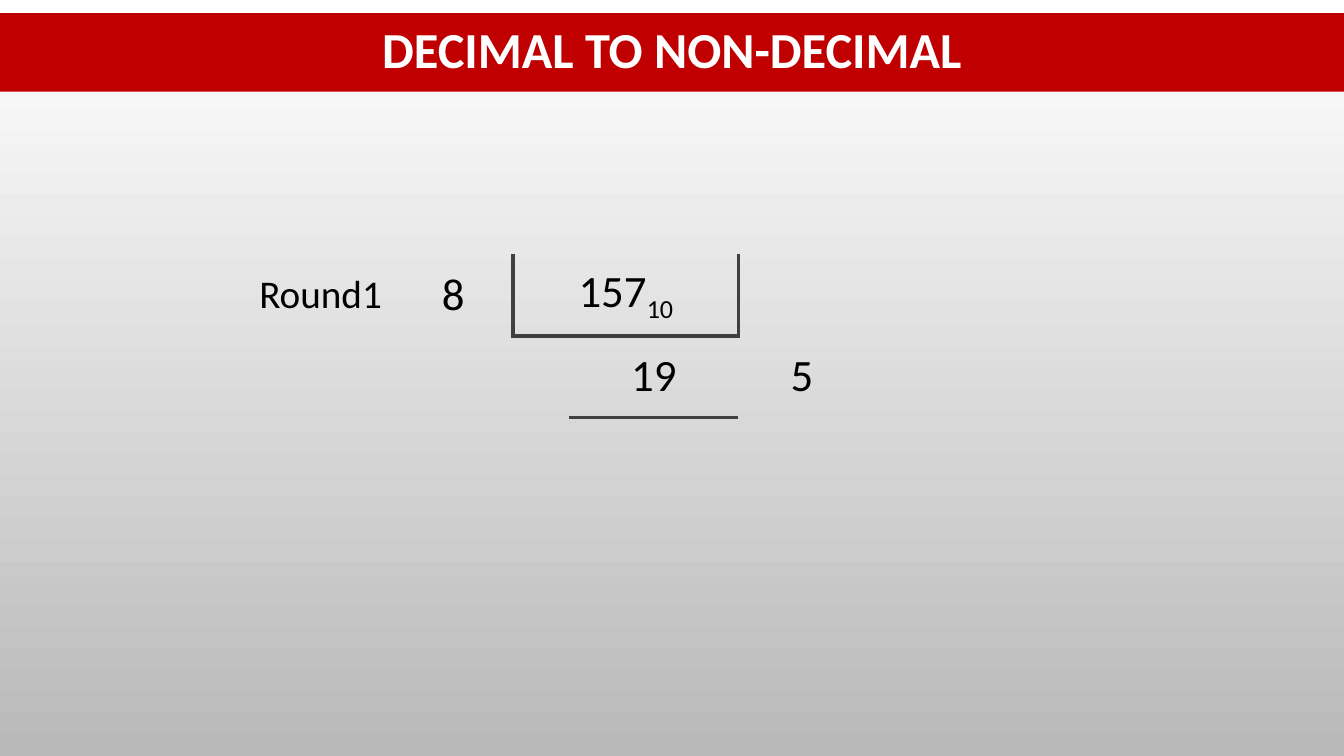
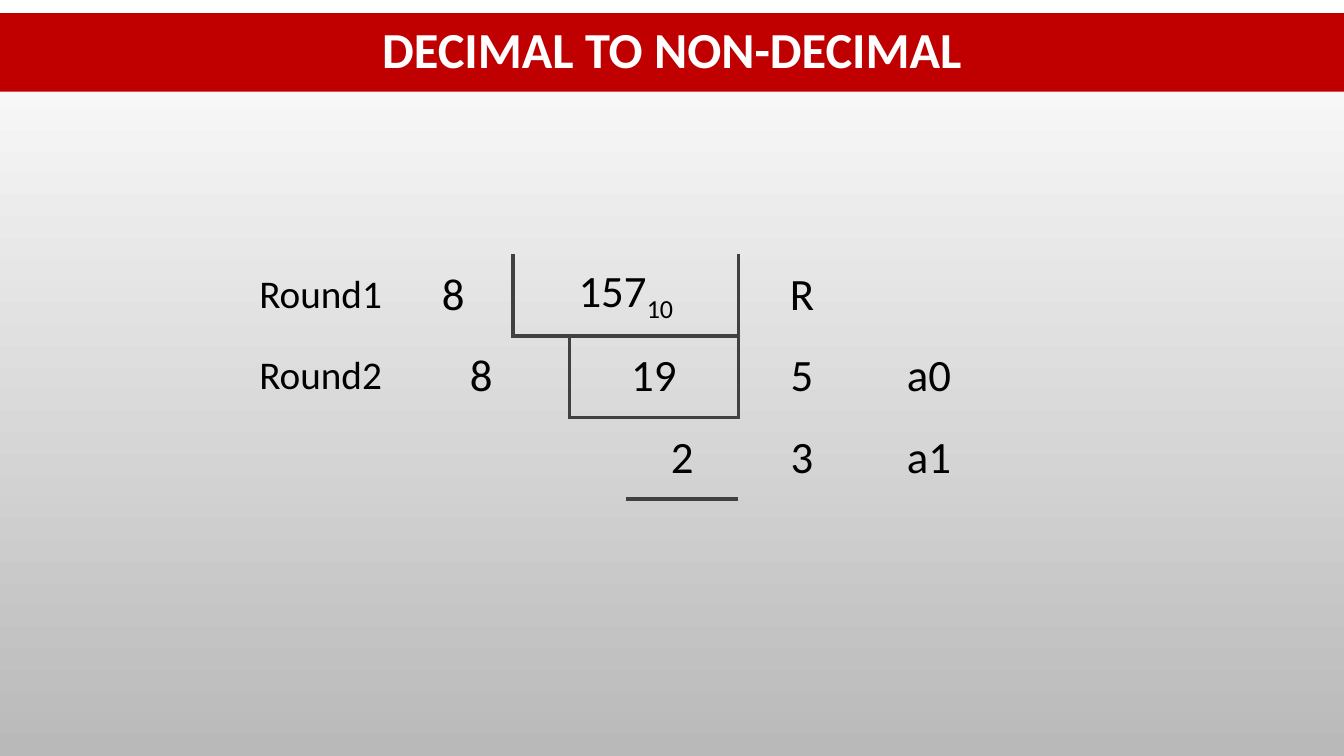
"""Build two slides that convert a decimal number by repeated division."""
from dataclasses import dataclass

import lxml.etree
import pptx
import pptx.dml.color
import pptx.enum.text
import pptx.oxml.ns
import pptx.util

Cm = pptx.util.Cm
Pt = pptx.util.Pt
RGBColor = pptx.dml.color.RGBColor
qn = pptx.oxml.ns.qn

WHITE = RGBColor(0xFF, 0xFF, 0xFF)
GREY = RGBColor(0xB9, 0xB9, 0xB9)
RED = RGBColor(0xC0, 0x00, 0x00)
BLACK = RGBColor(0x00, 0x00, 0x00)
RULE = RGBColor(0x40, 0x40, 0x40)
FONT = "Calibri"
TITLE = "DECIMAL TO NON-DECIMAL"
PLAIN = "{2D5ABB26-0587-4C30-8999-92F81FD0307C}"
WIDE = Cm(33.87)
TALL = Cm(19.05)
COLS = (3.66, 3.02, 1.42, 1.42, 2.84, 3.2, 3.2)
ROWS = 4
STEP = 2.06
SPANS = ((0, 2, 4), (1, 1, 2), (1, 3, 4), (2, 1, 3), (3, 2, 4))


@dataclass(frozen=True)
class Entry:
    """Text of one table cell, with its ruled edges (letters of LRTB)."""

    row: int
    col: int
    text: str
    edges: str = ""
    size: int = 32
    base: str = ""


START = (
    Entry(0, 0, "Round1", size=28),
    Entry(0, 1, "8", "R"),
    Entry(0, 2, "157", "LB", base="10"),
    Entry(1, 5, "5"),
)
FIRST = START + (Entry(1, 3, "19", "T"),)
SECOND = START + (
    Entry(0, 5, "R"),
    Entry(1, 0, "Round2", size=28),
    Entry(1, 1, "8", "R"),
    Entry(1, 3, "19", "LTB"),
    Entry(1, 6, "a0"),
    Entry(2, 4, "2", "T"),
    Entry(2, 5, "3"),
    Entry(2, 6, "a1"),
)


def style(para, size: int, color: RGBColor, bold: bool = False) -> None:
    """Centre a paragraph and format its runs."""
    para.alignment = pptx.enum.text.PP_ALIGN.CENTER
    for run in para.runs:
        run.font.name = FONT
        run.font.size = Pt(size)
        run.font.bold = bold
        run.font.color.rgb = color


def shade(master) -> None:
    """Give the master its gradient background."""
    fill = master.background.fill
    fill.gradient()
    fill.gradient_angle = 270
    for stop, color in zip(fill.gradient_stops, (WHITE, GREY)):
        stop.color.rgb = color


def head(slide) -> None:
    """Turn the title placeholder into the red band."""
    band = slide.shapes.title
    band.left, band.top, band.width, band.height = Cm(0), Cm(0.33), WIDE, Cm(1.98)
    band.fill.solid()
    band.fill.fore_color.rgb = RED
    frame = band.text_frame
    frame.text = TITLE
    frame.vertical_anchor = pptx.enum.text.MSO_ANCHOR.MIDDLE
    para = frame.paragraphs[0]
    para.line_spacing = 0.9
    style(para, 36, WHITE, True)


def edge(cell, sides: str) -> None:
    """Rule the given sides of a cell."""
    props = cell._tc.get_or_add_tcPr()
    for spot, side in enumerate(s for s in "LRTB" if s in sides):
        line = lxml.etree.Element(qn(f"a:ln{side}"), w=str(Pt(3)))
        fill = lxml.etree.SubElement(line, qn("a:solidFill"))
        lxml.etree.SubElement(fill, qn("a:srgbClr"), val=str(RULE))
        props.insert(spot, line)


def write(cell, entry: Entry) -> None:
    """Put an entry into its cell."""
    cell.text_frame.text = entry.text
    para = cell.text_frame.paragraphs[0]
    if entry.base:
        run = para.add_run()
        run.text = entry.base
        run._r.get_or_add_rPr().set("baseline", "-25000")
    style(para, entry.size, BLACK)
    edge(cell, entry.edges)


def grid(slide, entries: tuple[Entry, ...]) -> None:
    """Draw the division table."""
    frame = slide.shapes.add_table(
        ROWS, len(COLS), Cm(6.25), Cm(6.4), Cm(sum(COLS)), Cm(ROWS * STEP)
    )
    table = frame.table
    table.first_row = table.horz_banding = False
    table._tbl.tblPr.find(qn("a:tableStyleId")).text = PLAIN
    for col, width in zip(table.columns, COLS):
        col.width = Cm(width)
    for row in table.rows:
        row.height = Cm(STEP)
    for cell in table.iter_cells():
        cell.fill.background()
        cell.vertical_anchor = pptx.enum.text.MSO_ANCHOR.MIDDLE
    for row, start, end in SPANS:
        table.cell(row, start).merge(table.cell(row, end))
    for entry in entries:
        write(table.cell(entry.row, entry.col), entry)


def main() -> None:
    """Build and save the deck."""
    deck = pptx.Presentation()
    deck.slide_width, deck.slide_height = WIDE, TALL
    shade(deck.slide_master)
    for entries in (FIRST, SECOND):
        slide = deck.slides.add_slide(deck.slide_layouts.get_by_name("Title Only"))
        head(slide)
        grid(slide, entries)
    deck.save("out.pptx")


if __name__ == "__main__":
    main()
